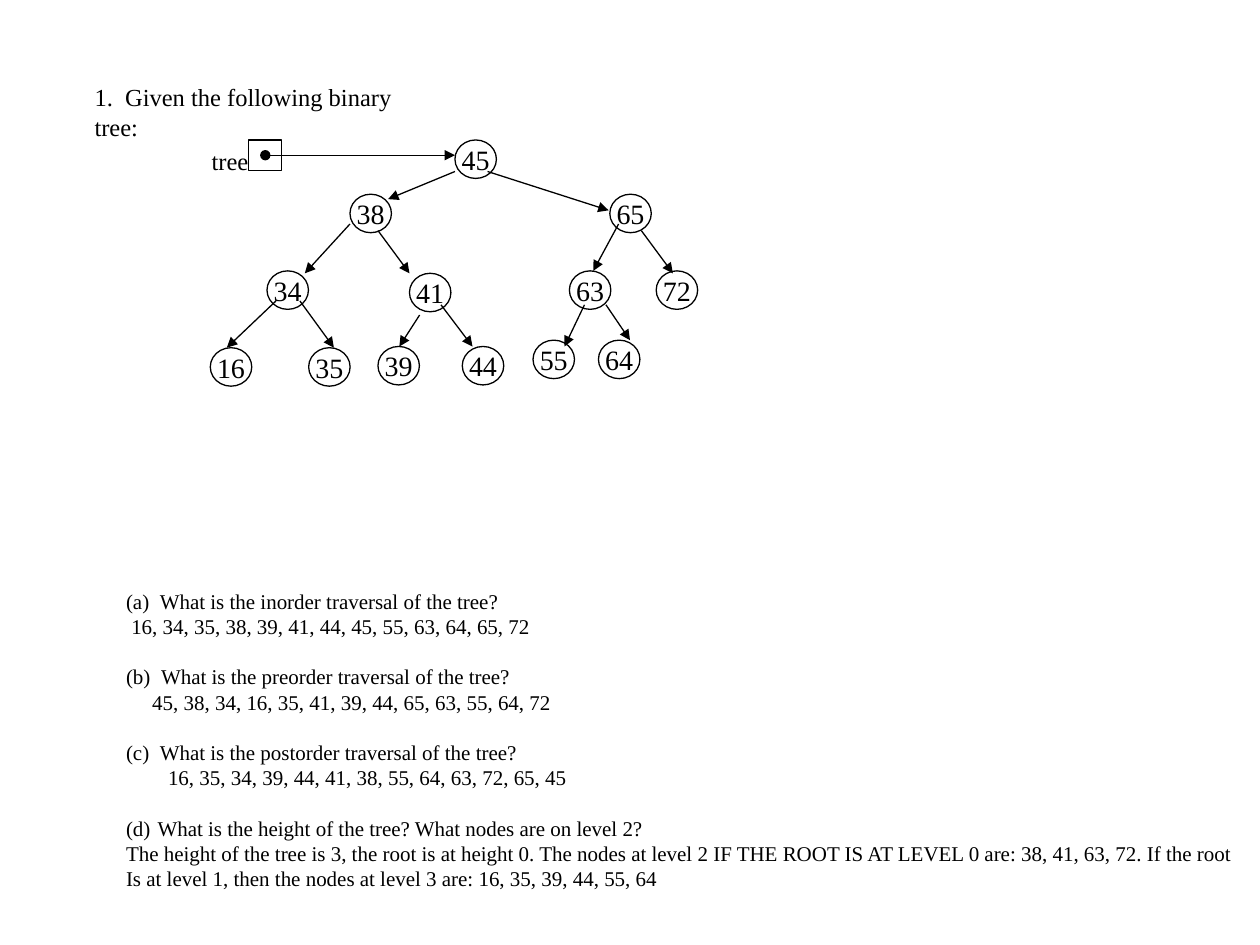
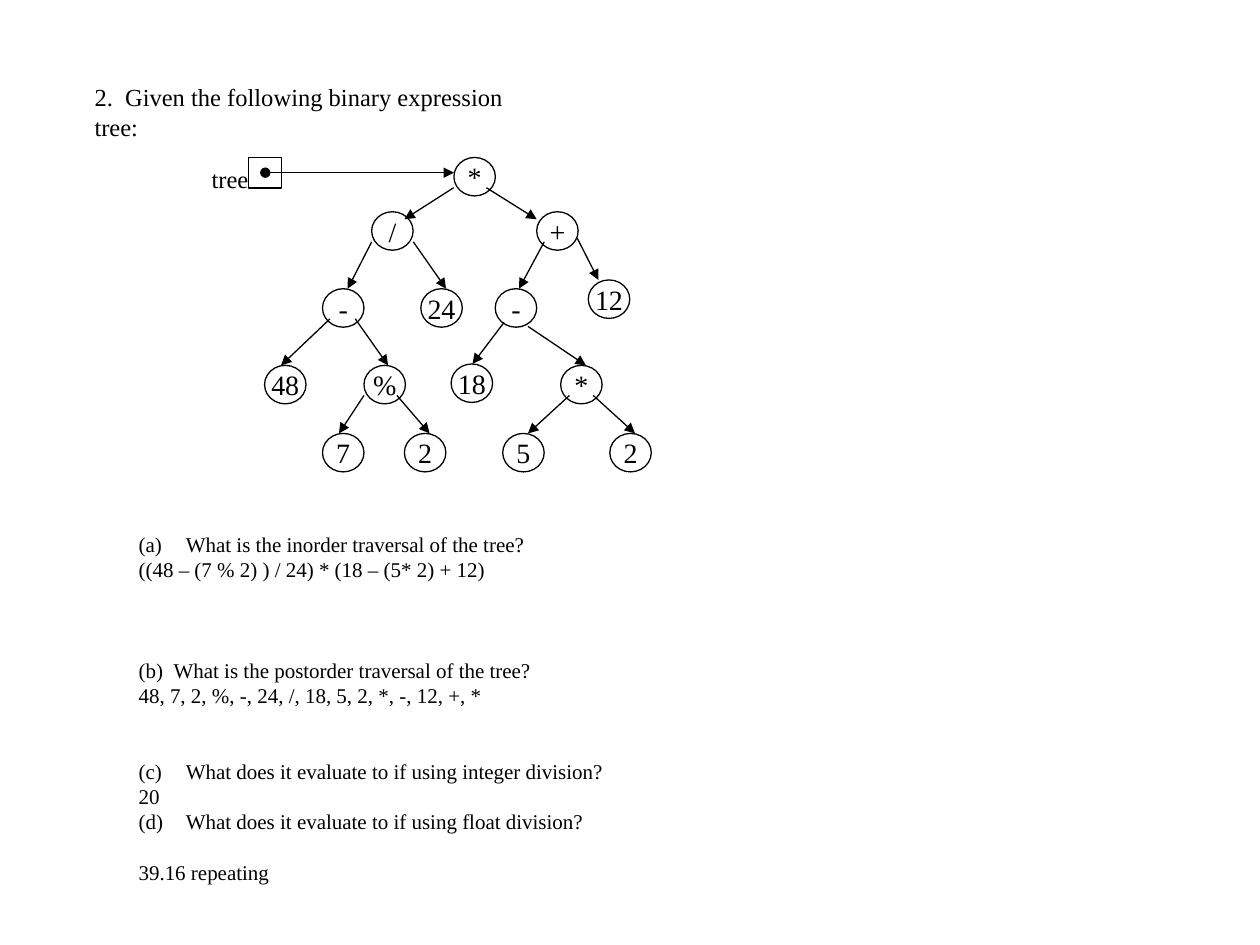
from lxml.etree import SubElement
from pptx import Presentation
from pptx.dml.color import RGBColor
from pptx.enum.shapes import MSO_CONNECTOR as Connector, MSO_SHAPE as Preset
from pptx.enum.text import MSO_ANCHOR as Anchor, MSO_AUTO_SIZE as AutoSize, PP_ALIGN as Align
from pptx.oxml.ns import qn
from pptx.util import Pt

COLORS = {"ink": "000000", "paper": "FFFFFF"}
FONT = "Times New Roman"
NODE_WIDTH, NODE_HEIGHT = 23.7, 22
BODY_LINE = 14.4

# Each node: label, left, top, then the arrow that reaches it (x1, y1, x2, y2).
SEARCH_TREE = [
    ("45", 260, 80, None),
    ("38", 200, 111, (260, 98, 221.8, 113.8)),
    ("65", 348.5, 111, (278.6, 98, 347.8, 120.2)),
    ("34", 152.6, 154.8, (200, 128, 174.2, 156.2)),
    ("41", 234, 156.2, (216, 131.8, 234, 156.2)),
    ("63", 325.4, 154.8, (353.5, 128, 339, 154.8)),
    ("72", 375, 154.8, (366.5, 131.8, 384.5, 156.2)),
    ("16", 120.2, 198.7, (157.7, 172, 129.6, 198.7)),
    ("35", 176.4, 198.7, (171.4, 172, 190.8, 198.7)),
    ("39", 216, 198, (239.8, 180, 228.2, 198)),
    ("44", 264.2, 198, (252, 174.2, 270, 198)),
    ("55", 304.6, 194.4, (334, 174.2, 322.6, 198)),
    ("64", 342, 194.4, (346.3, 174.2, 360, 194.4)),
]
EXPRESSION_TREE = [
    ("*", 259.4, 90, None),
    ("/", 212.4, 121, (259.2, 107.3, 231.1, 125.3)),
    ("+", 306.7, 121, (278, 107.3, 306.7, 125.3)),
    ("-", 184.3, 165, (212.4, 138.2, 198.7, 165)),
    ("24", 240.5, 165, (236.2, 138.2, 254.9, 165)),
    ("-", 283, 165, (311, 138.2, 296.6, 165)),
    ("12", 336.2, 160, (329.8, 136, 342, 160)),
    ("48", 151.2, 208.8, (188.6, 182.2, 160.6, 208.8)),
    ("%", 208, 208.8, (203, 182.2, 221.8, 208.8)),
    ("18", 257.8, 208, (288, 184.3, 270, 208)),
    ("*", 320.4, 208.8, (301.7, 186.5, 334.8, 208.8)),
    ("7", 184.3, 247.7, (208, 226, 193.7, 247.7)),
    ("2", 231.1, 247.7, (226.8, 226, 245.5, 247.7)),
    ("5", 287.3, 247.7, (325.4, 226, 301.7, 247.7)),
    ("2", 348.5, 247.7, (339, 226, 362.9, 247.7)),
]

# Each line: text, list number (0 for an answer), indent, empty lines above.
SEARCH_QUESTIONS = [
    ("What is the inorder traversal of the tree?", 1, 19.3, 0),
    ("16, 34, 35, 38, 39, 41, 44, 45, 55, 63, 64, 65, 72", 0, 3, 0),
    ("What is the preorder traversal of the tree?", 2, 20, 1),
    ("45, 38, 34, 16, 35, 41, 39, 44, 65, 63, 55, 64, 72", 0, 15, 0),
    ("What is the postorder traversal of the tree?", 3, 19.3, 1),
    ("16, 35, 34, 39, 44, 41, 38, 55, 64, 63, 72, 65, 45", 0, 24, 0),
    ("What is the height of the tree? What nodes are on level 2?", 4, 18, 1),
    ("The height of the tree is 3, the root is at height 0. The nodes at level 2 "
     "IF THE ROOT IS AT LEVEL 0 are: 38, 41, 63, 72. If the root", 0, 0, 0),
    ("Is at level 1, then the nodes at level 3 are: 16, 35, 39, 44, 55, 64", 0, 0, 0),
]
EXPRESSION_QUESTIONS = [
    ("What is the inorder traversal of the tree?", 1, 27, 0),
    ("((48 – (7 % 2) ) / 24) * (18 – (5* 2) + 12)", 0, 0, 0),
    ("What is the postorder traversal of the tree?", 2, 20, 3),
    ("48, 7, 2, %, -, 24, /, 18, 5, 2, *, -, 12, +, *", 0, 0, 0),
    ("What does it evaluate to if using integer division?", 3, 27, 2),
    ("20", 0, 0, 0),
    ("What does it evaluate to if using float division?", 4, 27, 0),
    ("39.16 repeating", 0, 0, 1),
]


def rgb(name):
    return RGBColor.from_string(COLORS[name])


class Worksheet:
    def __init__(self):
        self.deck = Presentation()
        self.deck.slide_width, self.deck.slide_height = Pt(720), Pt(540)
        self.slide = None

    def new_slide(self):
        self.slide = self.deck.slides.add_slide(self.deck.slide_layouts[1])
        self.slide.background.fill.solid()
        self.slide.background.fill.fore_color.rgb = rgb("paper")

    def place(self, placeholder, left, top, width, height):
        placeholder.left, placeholder.top = Pt(left), Pt(top)
        placeholder.width, placeholder.height = Pt(width), Pt(height)
        frame = placeholder.text_frame
        frame.word_wrap, frame.auto_size = True, AutoSize.NONE
        frame.vertical_anchor = Anchor.TOP
        return frame

    def style(self, paragraph, size, align=Align.LEFT):
        paragraph.alignment = align
        for run in paragraph.runs:
            run.font.size, run.font.name = Pt(size), FONT
            run.font.color.rgb = rgb("ink")

    def heading(self, text, width):
        frame = self.place(self.slide.shapes.title, 46.8, 43.2, width, 42)
        frame.text = text
        paragraph = frame.paragraphs[0]
        tabs = SubElement(paragraph._p.get_or_add_pPr(), qn("a:tabLst"))
        SubElement(tabs, qn("a:tab"), pos=str(Pt(17.5)), algn="l")
        paragraph.line_spacing = Pt(17.1)
        self.style(paragraph, 14)

    def questions(self, lines, left, top, width, height):
        frame = self.place(self.slide.placeholders[1], left, top, width, height)
        frame.text = "\n".join(line[0] for line in lines)
        for paragraph, (_, number, indent, gap) in zip(frame.paragraphs, lines):
            props = paragraph._p.get_or_add_pPr()
            props.set("marL", str(Pt(indent)))
            props.set("indent", str(-Pt(indent) if number else 0))
            if number:
                SubElement(props, qn("a:buAutoNum"), type="alphaLcParenBoth",
                           startAt=str(number))
            else:
                SubElement(props, qn("a:buNone"))
            paragraph.line_spacing = Pt(BODY_LINE)
            paragraph.space_before = Pt(gap * BODY_LINE)
            self.style(paragraph, 12)

    def outline(self, preset, left, top, width, height):
        shape = self.slide.shapes.add_shape(preset, Pt(left), Pt(top), Pt(width), Pt(height))
        shape.shadow.inherit = False
        shape.fill.background()
        shape.line.color.rgb, shape.line.width = rgb("ink"), Pt(0.75)
        return shape

    def node(self, label, left, top):
        frame = self.outline(Preset.OVAL, left, top, NODE_WIDTH, NODE_HEIGHT).text_frame
        frame.margin_left = frame.margin_right = frame.margin_top = frame.margin_bottom = 0
        frame.word_wrap, frame.vertical_anchor = False, Anchor.MIDDLE
        frame.text = label
        self.style(frame.paragraphs[0], 16, Align.CENTER)

    def arrow(self, x1, y1, x2, y2, start=None):
        line = self.slide.shapes.add_connector(Connector.STRAIGHT, Pt(x1), Pt(y1), Pt(x2), Pt(y2))
        line.line.color.rgb, line.line.width = rgb("ink"), Pt(0.75)
        ends = line.get_or_add_ln()
        if start:
            SubElement(ends, qn("a:headEnd"), type=start)
        SubElement(ends, qn("a:tailEnd"), type="triangle")
        SubElement(line._element.spPr, qn("a:effectLst"))

    def root_pointer(self, root_left, top):
        """Draws the labelled pointer cell and its arrow to the root."""
        self.outline(Preset.RECTANGLE, 142.2, top, 18.7, 17.5)
        frame = self.slide.shapes.add_textbox(Pt(113.8), Pt(top), Pt(35.3), Pt(23.8)).text_frame
        frame.word_wrap = False
        frame.text = "tree"
        self.style(frame.paragraphs[0], 14)
        self.arrow(151.6, top + 8.7, root_left, top + 8.7, start="oval")

    def tree(self, nodes):
        _, root_left, root_top, _ = nodes[0]
        for label, left, top, edge in nodes:
            self.node(label, left, top)
            if edge:
                self.arrow(*edge)
        self.root_pointer(root_left, root_top)


def main():
    sheet = Worksheet()

    sheet.new_slide()
    sheet.heading("1.\tGiven the following binary tree:", 212.4)
    sheet.questions(SEARCH_QUESTIONS, 64.8, 332.6, 655, 181.4)
    sheet.tree(SEARCH_TREE)

    sheet.new_slide()
    sheet.heading("2.\tGiven the following binary expression tree:", 275.8)
    sheet.questions(EXPRESSION_QUESTIONS, 72, 300.2, 283.7, 225.4)
    sheet.tree(EXPRESSION_TREE)

    sheet.deck.save("out.pptx")


if __name__ == "__main__":
    main()
